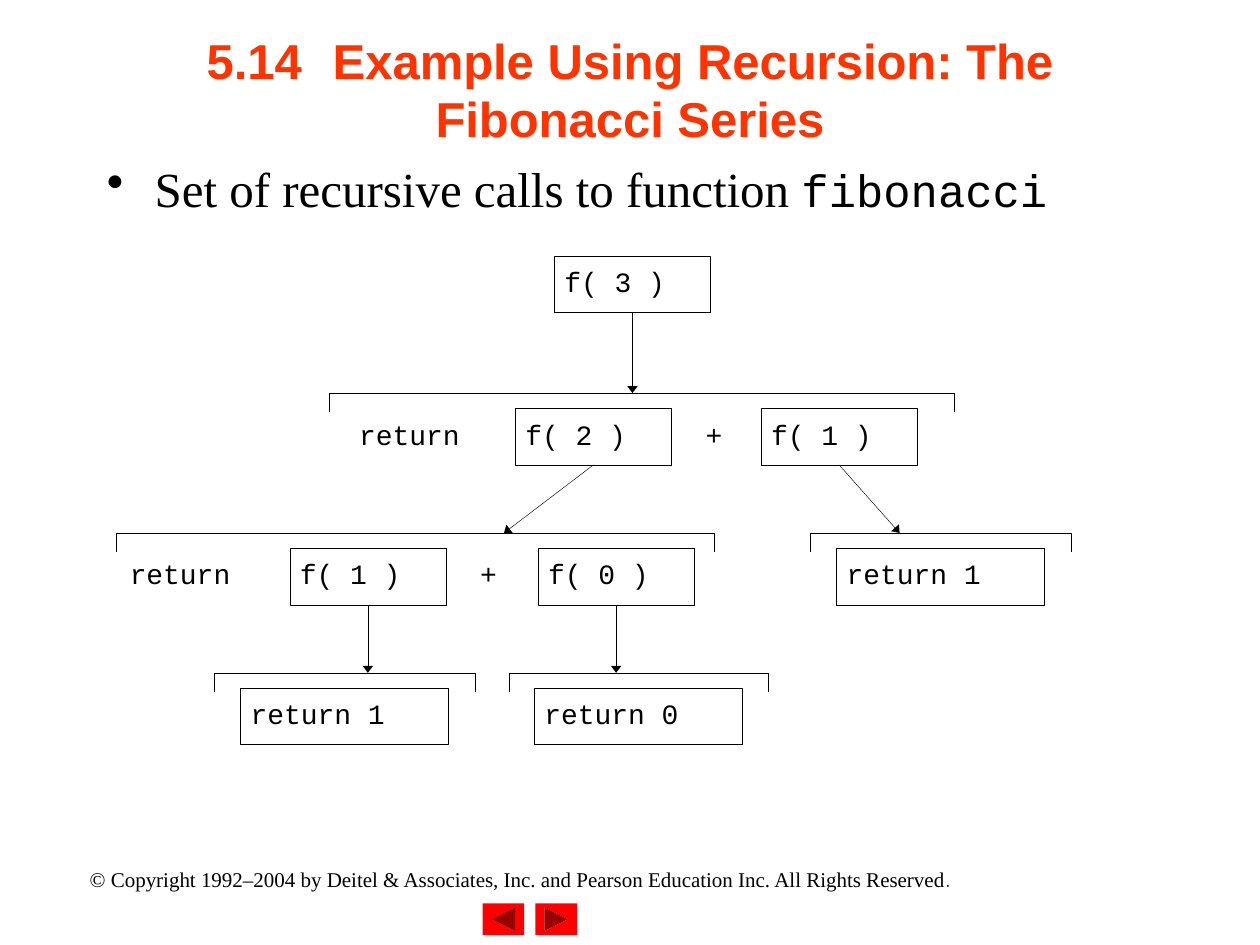
import lxml.etree
import pptx
import pptx.dml.color
import pptx.enum.shapes
import pptx.enum.text
import pptx.oxml.ns
import pptx.util

COLUMNS, ROWS = 100, 75
CELL = pptx.util.Inches(10) // COLUMNS
LEVEL_ROWS = (20.3, 32.4, 43.5, 54.6)
BOX_ROWS = 4.5
CALL_COLUMNS, RESULT_COLUMNS = 12.4, 16.5
BRACKET_LIFT, BRACKET_ROWS = 1.2, 1.5

COLORS = {"title": "FF3300", "ink": "000000", "button": "FF0000"}
FONTS = {
    "title": {"name": "Arial", "size": pptx.util.Pt(28), "bold": True},
    "body": {"name": "Times New Roman", "size": pptx.util.Pt(28)},
    "body code": {"name": "Courier New", "size": pptx.util.Pt(26)},
    "code": {"name": "Courier New", "size": pptx.util.Pt(16)},
    "footer": {"name": "Times New Roman", "size": pptx.util.Pt(12)},
    "footer stop": {"name": "Quicksand", "size": pptx.util.Pt(12)},
}
TEXT_INSETS = {"margin_left": 1, "margin_right": 1, "margin_top": 0.5, "margin_bottom": 0.5}
BOX_INSETS = {"margin_left": 0.8, "margin_right": 0, "margin_top": 0.7, "margin_bottom": 0}
LABEL_INSETS = {**BOX_INSETS, "margin_left": 0}

# Each entry: text, left column, level, width in columns
BOXES = {
    "f3": ("f( 3 )", 44, 0, CALL_COLUMNS),
    "f2": ("f( 2 )", 40.9, 1, CALL_COLUMNS),
    "f1 right": ("f( 1 )", 60.4, 1, CALL_COLUMNS),
    "f1 left": ("f( 1 )", 23, 2, CALL_COLUMNS),
    "f0": ("f( 0 )", 42.7, 2, CALL_COLUMNS),
    "result right": ("return 1", 66.4, 2, RESULT_COLUMNS),
    "result left": ("return 1", 19.1, 3, RESULT_COLUMNS),
    "result middle": ("return 0", 42.4, 3, RESULT_COLUMNS),
}
LABELS = (
    ("return", 28.5, 1, 13.1),
    ("+", 56, 1, 2.8),
    ("return", 10.3, 2, 13.1),
    ("+", 38.1, 2, 2.8),
)
# Each entry: left column, level, width in columns
BRACKETS = (
    (26.1, 1, 49.6),
    (9.2, 2, 47.5),
    (64.3, 2, 20.7),
    (17, 3, 20.7),
    (40.4, 3, 20.6),
)
# Each entry: calling box, level reached, column reached (None: straight down)
ARROWS = (
    ("f3", 1, None),
    ("f2", 2, 40),
    ("f1 right", 2, 71.4),
    ("f1 left", 3, None),
    ("f0", 3, None),
)


def cells(*counts):
    """Turn counts of grid cells into lengths."""
    return [round(count * CELL) for count in counts]


def color(name):
    return pptx.dml.color.RGBColor.from_string(COLORS[name])


def set_values(target, values):
    for name, value in values.items():
        setattr(target, name, value)


def set_outline(shape):
    shape.line.color.rgb = color("ink")
    shape.line.width = pptx.util.Pt(0.25)


def write(shape, runs, insets, ink="ink", anchor="TOP", align="LEFT"):
    """Fill a shape with one paragraph of (text, font) runs."""
    frame = shape.text_frame
    set_values(frame, {
        "word_wrap": True,
        "auto_size": pptx.enum.text.MSO_AUTO_SIZE.NONE,
        "vertical_anchor": pptx.enum.text.MSO_ANCHOR[anchor],
        **{side: cells(count)[0] for side, count in insets.items()},
    })
    paragraph = frame.paragraphs[0]
    paragraph.alignment = pptx.enum.text.PP_ALIGN[align]
    for text, font in runs:
        run = paragraph.add_run()
        run.text = text
        set_values(run.font, FONTS[font])
        run.font.color.rgb = color(ink)
    return paragraph


def add_text(slide, area, runs, insets=TEXT_INSETS, **layout):
    shape = slide.shapes.add_textbox(*cells(*area))
    return write(shape, runs, insets, **layout)


def add_paragraph_mark(paragraph, tag, **attributes):
    properties = paragraph._p.get_or_add_pPr()
    return lxml.etree.SubElement(properties, pptx.oxml.ns.qn(tag), attributes)


def add_tab_stop(paragraph, position):
    tabs = add_paragraph_mark(paragraph, "a:tabLst")
    lxml.etree.SubElement(tabs, pptx.oxml.ns.qn("a:tab"), pos=str(position), algn="l")


def add_bullet(paragraph, indent):
    properties = paragraph._p.get_or_add_pPr()
    properties.set("marL", str(indent))
    properties.set("indent", str(-indent))
    add_paragraph_mark(paragraph, "a:buChar", char="•")


def add_button(slide, kind, left):
    shape_type = pptx.enum.shapes.MSO_SHAPE[kind]
    button = slide.shapes.add_shape(shape_type, *cells(left, 71.7, 3.3, 2.5))
    button.shadow.inherit = False
    button.fill.solid()
    button.fill.fore_color.rgb = color("button")
    button.line.fill.background()


def add_box(slide, text, left, level, width):
    box = slide.shapes.add_shape(
        pptx.enum.shapes.MSO_SHAPE.RECTANGLE,
        *cells(left, LEVEL_ROWS[level], width, BOX_ROWS))
    box.shadow.inherit = False
    box.fill.background()
    set_outline(box)
    write(box, [(text, "code")], BOX_INSETS)
    return box


def add_bracket(slide, left, level, width):
    """Draw an open bracket that spans the boxes of a level from above."""
    top = LEVEL_ROWS[level] - BRACKET_LIFT
    right, bottom = left + width, top + BRACKET_ROWS
    builder = slide.shapes.build_freeform(*cells(right, bottom))
    corners = ((right, top), (left, top), (left, bottom))
    builder.add_line_segments([cells(*corner) for corner in corners], close=False)
    bracket = builder.convert_to_shape()
    bracket.shadow.inherit = False
    bracket.fill.background()
    set_outline(bracket)


def add_arrow(slide, box, level, column):
    """Join the bottom of a box to the bracket of a level."""
    start_x, start_y = box.left + box.width // 2, box.top + box.height
    end_x = start_x if column is None else cells(column)[0]
    end_y = cells(LEVEL_ROWS[level] - BRACKET_LIFT)[0]
    arrow = slide.shapes.add_connector(
        pptx.enum.shapes.MSO_CONNECTOR.STRAIGHT, start_x, start_y, end_x, end_y)
    arrow.begin_connect(box, 2)
    set_outline(arrow)
    lxml.etree.SubElement(
        arrow.line._get_or_add_ln(), pptx.oxml.ns.qn("a:tailEnd"),
        type="triangle", w="med", len="sm")
    lxml.etree.SubElement(arrow._element.spPr, pptx.oxml.ns.qn("a:effectLst"))


def main():
    presentation = pptx.Presentation()
    set_values(presentation, {"slide_width": COLUMNS * CELL, "slide_height": ROWS * CELL})
    slide = presentation.slides.add_slide(presentation.slide_layouts[6])

    add_button(slide, "ACTION_BUTTON_FORWARD_OR_NEXT", 42.5)
    add_button(slide, "ACTION_BUTTON_BACK_OR_PREVIOUS", 38.3)
    add_text(slide, (5, 68.3, 72.5, 3), [
        ("© Copyright 1992–2004 by Deitel & Associates, Inc. and Pearson Education Inc. "
         "All Rights Reserved", "footer"),
        (".", "footer stop")], align="CENTER")
    title = add_text(
        slide, (7.5, 0.8, 85, 12.5),
        [("5.14\tExample Using Recursion: The Fibonacci Series", "title")],
        ink="title", anchor="MIDDLE", align="CENTER")
    add_tab_stop(title, pptx.util.Inches(1))
    body = add_text(slide, (7.5, 12.1, 85, 58.8), [
        ("Set of recursive calls to function ", "body"), ("fibonacci", "body code")])
    add_bullet(body, pptx.util.Inches(0.38))

    for bracket in BRACKETS:
        add_bracket(slide, *bracket)
    boxes = {name: add_box(slide, *box) for name, box in BOXES.items()}
    for caller, level, column in ARROWS:
        add_arrow(slide, boxes[caller], level, column)
    for text, left, level, width in LABELS:
        area = (left, LEVEL_ROWS[level], width, BOX_ROWS)
        add_text(slide, area, [(text, "code")], LABEL_INSETS)
    presentation.save("out.pptx")


if __name__ == "__main__":
    main()
